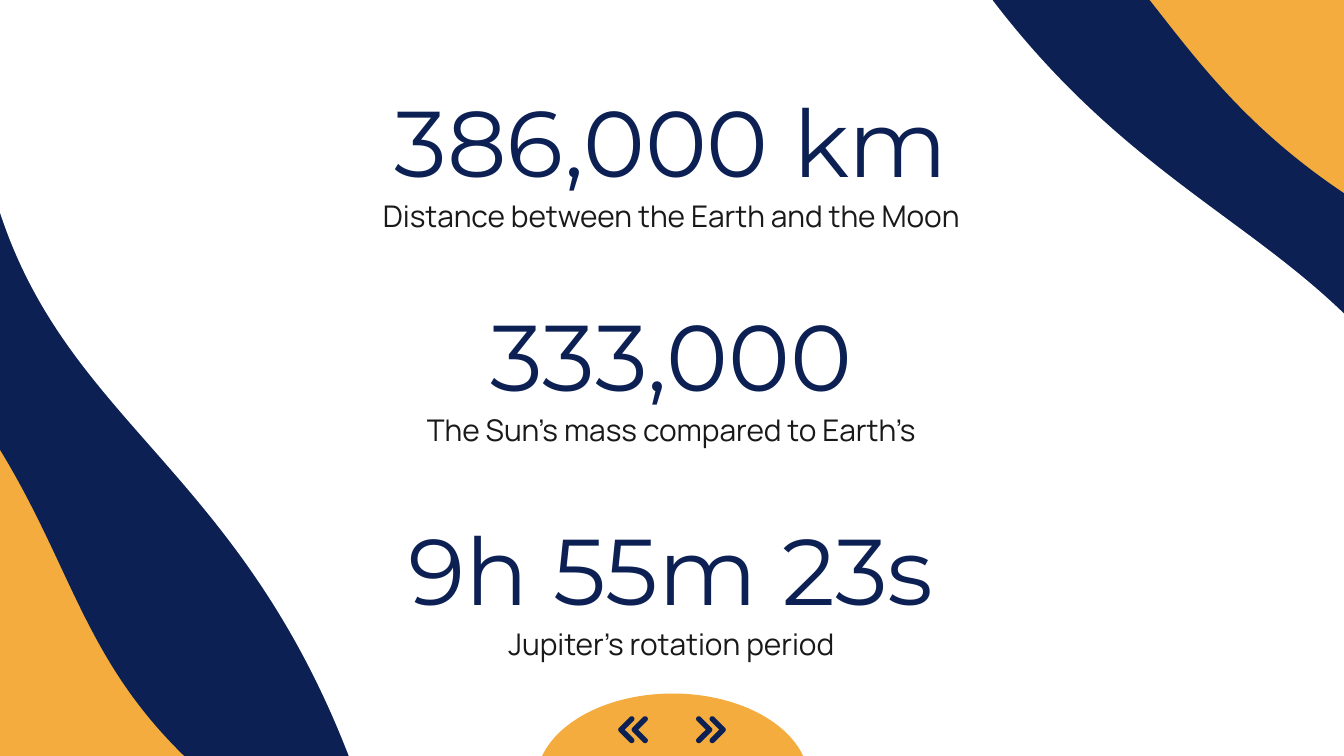
from math import cos, radians, sin, sqrt

from pptx import Presentation
from pptx.dml.color import RGBColor
from pptx.enum.shapes import MSO_SHAPE
from pptx.enum.text import MSO_ANCHOR, MSO_AUTO_SIZE, PP_ALIGN
from pptx.util import Inches, Pt

ORANGE = RGBColor(0xF3, 0xAC, 0x3D)
NAVY = RGBColor(0x0C, 0x20, 0x54)
WHITE = RGBColor(0xFF, 0xFF, 0xFF)
INK = RGBColor(0x19, 0x19, 0x19)

# left, top, width, height, rotation, flipped, colour
WAVES = [
    (-0.87, 0.95, 5.62, 4.41, 45, True, NAVY),
    (4.51, -0.8, 5.62, 5.56, 207.4, True, NAVY),
    (2.69, -0.37, 7.7, 7.73, 241.3, False, WHITE),
    (0.2, -1.58, 7.35, 7.33, 73.4, False, WHITE),
]

FACTS = [
    ("386,000 km", "Distance between the Earth and the Moon"),
    ("333,000", "The Sun’s mass compared to Earth’s"),
    ("9h 55m 23s", "Jupiter's rotation period"),
]
FACT_LEFT, FACT_WIDTH = 1.4, 7.19
FACT_TOP, FACT_STEP = 0.59, 1.59


def paint(sp, color):
    sp.shadow.inherit = False
    sp.fill.solid()
    sp.fill.fore_color.rgb = color
    sp.line.fill.background()


def add_preset(slide, kind, left, top, width, height, rotation, flipped, color):
    sp = slide.shapes.add_shape(
        kind, Inches(left), Inches(top), Inches(width), Inches(height))
    sp.rotation = rotation
    if flipped:
        sp._element.spPr.xfrm.set("flipH", "1")
    paint(sp, color)
    return sp


def set_text(sp, text, top, height, font, size, color):
    sp.left, sp.top = Inches(FACT_LEFT), Inches(top)
    sp.width, sp.height = Inches(FACT_WIDTH), Inches(height)
    tf = sp.text_frame
    tf.text = text
    tf.word_wrap = True
    tf.auto_size = MSO_AUTO_SIZE.NONE
    tf.vertical_anchor = MSO_ANCHOR.MIDDLE
    tf.margin_left = tf.margin_right = Inches(0.1)
    tf.margin_top = tf.margin_bottom = Inches(0.1)
    p = tf.paragraphs[0]
    p.alignment = PP_ALIGN.CENTER
    f = p.runs[0].font
    f.name, f.size, f.color.rgb = font, Pt(size), color


def add_text_box(slide):
    return slide.shapes.add_textbox(0, 0, Inches(1), Inches(1))


def arc(cx, cy, radius, start, end):
    return [(cx + radius * cos(radians(a)), cy + radius * sin(radians(a)))
            for a in range(start, end + 1, 15)]


def add_chevron(group, back, top, direction):
    """Rounded chevron starting at x = back; direction is 1 right, -1 left."""
    radius, arm = 0.02, 0.08
    tip = radius + arm
    outline = (arc(radius, radius, radius, 135, 315)
               + arc(tip, tip, radius, -45, 45)
               + arc(radius, tip + arm, radius, 45, 225)
               + [(tip - radius * sqrt(2), tip)])
    points = [(Inches(back + direction * x), Inches(top + y))
              for x, y in outline]
    builder = group.shapes.build_freeform(*points[0])
    builder.add_line_segments(points[1:], close=True)
    paint(builder.convert_to_shape(), NAVY)


def main():
    prs = Presentation()
    prs.slide_width = Inches(10)
    prs.slide_height = prs.slide_width * 9 // 16
    slide = prs.slides.add_slide(prs.slide_layouts[5])
    slide.background.fill.solid()
    slide.background.fill.fore_color.rgb = ORANGE

    # Corner waves
    for wave in WAVES:
        add_preset(slide, MSO_SHAPE.FLOWCHART_DOCUMENT, *wave)

    # Figures with captions; the first figure is the slide title
    title = slide.shapes.title
    title._element.getparent().append(title._element)
    for i, (figure, caption) in enumerate(FACTS):
        top = FACT_TOP + i * FACT_STEP
        sp = title if i == 0 else add_text_box(slide)
        set_text(sp, figure, top, 0.91, "Montserrat", 50, NAVY)
        set_text(add_text_box(slide), caption, top + 0.77, 0.49,
                 "Manrope", 16, INK)

    # Navigation dome and double chevrons
    dome = add_preset(slide, MSO_SHAPE.PIE, 3.99, 5.16, 2.03, 1.31,
                      180, True, ORANGE)
    dome.adjustments[0], dome.adjustments[1] = 0, 108.31
    for direction in (1, -1):
        group = slide.shapes.add_group_shape()
        for offset in (0.18, 0.28):
            add_chevron(group, 5 + direction * offset, 5.33, direction)

    prs.save("out.pptx")


if __name__ == "__main__":
    main()
